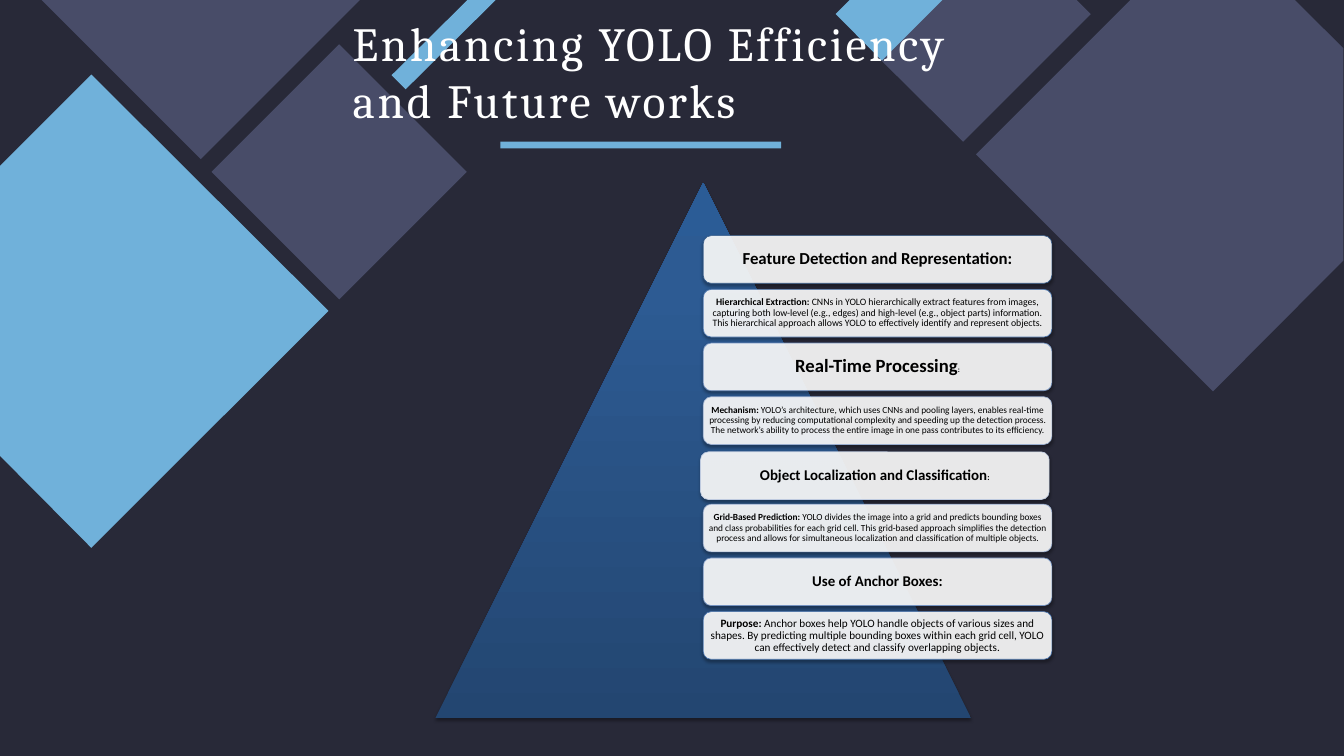
from copy import deepcopy
from pptx import Presentation
from pptx import util as u
from pptx.dml.color import RGBColor
from pptx.enum import shapes, text
from pptx.oxml import parse_xml
from pptx.oxml.ns import nsdecls

PX = 9144
NAVY, PLUM, SKY = "282938", "484C68", "70B1DA"
TITLE = "Enhancing YOLO Efficiency and Future works"
DECOR = [
    (PLUM, [(1603, 0), (1382, 0), (1302, 80), (1434, 211), (1624, 21)]),
    (SKY, [(1403, 0), (1265, 0), (1244, 21), (1313, 90)]),
    (SKY, [(738, 0), (696, 0), (583, 112), (604, 133)]),
    (PLUM, [(505, 66), (315, 256), (505, 446), (695, 256)]),
    (SKY, [(136, 111), (0, 247), (0, 679), (136, 816), (489, 463)]),
    (PLUM, [(1928, 0), (1683, 0), (1453, 230), (1806, 583), (2000, 388), (2000, 72)]),
    (PLUM, [(536, 0), (62, 0), (299, 237)]),
]
CARDS = [
    ("3A5F8C", 7, [("Feature Detection and Representation:", 18, True)]),
    ("4D77AF", 5, [
        ("Hierarchical Extraction:", 10.5, True),
        (" CNNs in YOLO hierarchically extract features from images, capturing both "
         "low-level (e.g., edges) and high-level (e.g., object parts) information. "
         "This hierarchical approach allows YOLO to effectively identify and "
         "represent objects.", 10.5, False)]),
    ("7391BF", 8, [("Real-Time Processing", 20, True), (":", 8, True)]),
    ("99ADCE", 4, [
        ("Mechanism:", 10, True),
        (" YOLO’s architecture, which uses CNNs and pooling layers, enables real-time "
         "processing by reducing computational complexity and speeding up the "
         "detection process. The network’s ability to process the entire image in "
         "one pass contributes to its efficiency.", 10, False)]),
    ("BECADF", 7, [("Object Localization and Classification", 16, True), (":", 9, True)]),
    ("99ADCE", 4, [
        ("Grid-Based Prediction:", 10, True),
        (" YOLO divides the image into a grid and predicts bounding boxes and class "
         "probabilities for each grid cell. This grid-based approach simplifies the "
         "detection process and allows for simultaneous localization and "
         "classification of multiple objects.", 10, False)]),
    ("7391BF", 7, [("Use of Anchor Boxes:", 16, True)]),
    ("4D77AF", 5, [
        ("Purpose:", 12, True),
        (" Anchor boxes help YOLO handle objects of various sizes and shapes. By "
         "predicting multiple bounding boxes within each grid cell, YOLO can "
         "effectively detect and classify overlapping objects.", 12, False)]),
]
NUDGE = {4: (-4, 2)}


def rgb(code):
    """Turn a hex string into a colour."""
    return RGBColor.from_string(code)


def emu(*nums):
    """Turn px into EMU."""
    return [round(n * PX) for n in nums]


def paint(shape, fill, line=None):
    """Set a flat fill and an optional thin outline, without shadow."""
    shape.shadow.inherit = False
    shape.fill.solid()
    shape.fill.fore_color.rgb = rgb(fill)
    if line:
        shape.line.color.rgb = rgb(line)
        shape.line.width = u.Pt(0.75)
    else:
        shape.line.fill.background()


def shade(shape):
    """Add a soft shadow that falls straight down."""
    shape._element.spPr.xpath("a:effectLst")[0].append(parse_xml(
        f'<a:outerShdw {nsdecls("a")} blurRad="40000" dist="23000" dir="5400000" '
        'rotWithShape="0"><a:srgbClr val="000000"><a:alpha val="35000"/>'
        '</a:srgbClr></a:outerShdw>'))


def write(para, words, size, font, color, bold=False):
    """Add one run to a paragraph."""
    run = para.add_run()
    run.text = words
    run.font.size = u.Pt(size)
    run.font.name = font
    run.font.bold = bold
    run.font.color.rgb = rgb(color)
    return run


def inset(frame, gap):
    """Wrap the text and set all four margins."""
    frame.word_wrap = True
    frame.margin_left = frame.margin_right = gap * PX
    frame.margin_top = frame.margin_bottom = gap * PX


def decor(slide, box):
    """Draw the tilted squares, cut off at the slide edges."""
    left, top = box[:2]
    for fill, dots in DECOR:
        dots = [(left + x, top + y) for x, y in dots]
        form = slide.shapes.build_freeform(*dots[0], scale=PX)
        form.add_line_segments(dots[1:], close=True)
        paint(form.convert_to_shape(), fill)


def heading(slide, box):
    """Write the title and the bar under it."""
    left, top, wide, high = box
    frame = slide.shapes.add_textbox(*emu(*box)).text_frame
    inset(frame, 0)
    run = write(frame.paragraphs[0], TITLE, 51, "Cambria", "FFFFFF")
    run.font._element.set("spc", "290")
    bar = slide.shapes.add_shape(
        shapes.MSO_SHAPE.RECTANGLE, *emu(left + 220, top + high + 18, 418, 10))
    paint(bar, SKY)


def card(slide, box, line, gap, runs):
    """Draw one rounded card with its text."""
    shape = slide.shapes.add_shape(shapes.MSO_SHAPE.ROUNDED_RECTANGLE, *emu(*box))
    paint(shape, "FFFFFF", line)
    tint = shape._element.spPr.xpath("a:solidFill/a:srgbClr")[0]
    tint.append(parse_xml(f'<a:alpha {nsdecls("a")} val="90000"/>'))
    shade(shape)
    frame = shape.text_frame
    inset(frame, gap)
    frame.vertical_anchor = text.MSO_ANCHOR.MIDDLE
    para = frame.paragraphs[0]
    para.alignment = text.PP_ALIGN.CENTER
    para.line_spacing = 0.9
    for words, size, bold in runs:
        write(para, words, size, "Calibri", "000000", bold)


def pyramid(slide, box):
    """Draw the triangle and the column of cards from its middle."""
    left, top, wide, high = box
    peak = slide.shapes.add_shape(shapes.MSO_SHAPE.ISOSCELES_TRIANGLE, *emu(*box))
    paint(peak, NAVY)
    peak.fill.gradient()
    peak.fill.gradient_angle = 90
    first = peak._element.spPr.xpath(".//a:gs")[0]
    first.addnext(deepcopy(first))
    tones = [(0, "234671"), (0.8, "2D5B93"), (1, "2B5C96")]
    for stop, (pos, tone) in zip(peak.fill.gradient_stops, tones):
        stop.position = pos
        stop.color.rgb = rgb(tone)
    shade(peak)
    for i, (line, gap, runs) in enumerate(CARDS):
        dx, dy = NUDGE.get(i, (0, 0))
        spot = (left + wide // 2 + dx, top + 79 + 80 * i + dy, 519, 71)
        card(slide, spot, line, gap, runs)


def main():
    """Build and save the slide."""
    deck = Presentation()
    deck.slide_width, deck.slide_height = emu(2001, 1126)
    slide = deck.slides.add_slide(deck.slide_layouts[6])
    slide.background.fill.solid()
    slide.background.fill.fore_color.rgb = rgb(NAVY)
    decor(slide, (0, 0, 2001, 1126))
    heading(slide, (525, 21, 949, 172))
    pyramid(slide, (648, 272, 798, 798))
    deck.save("out.pptx")


if __name__ == "__main__":
    main()
